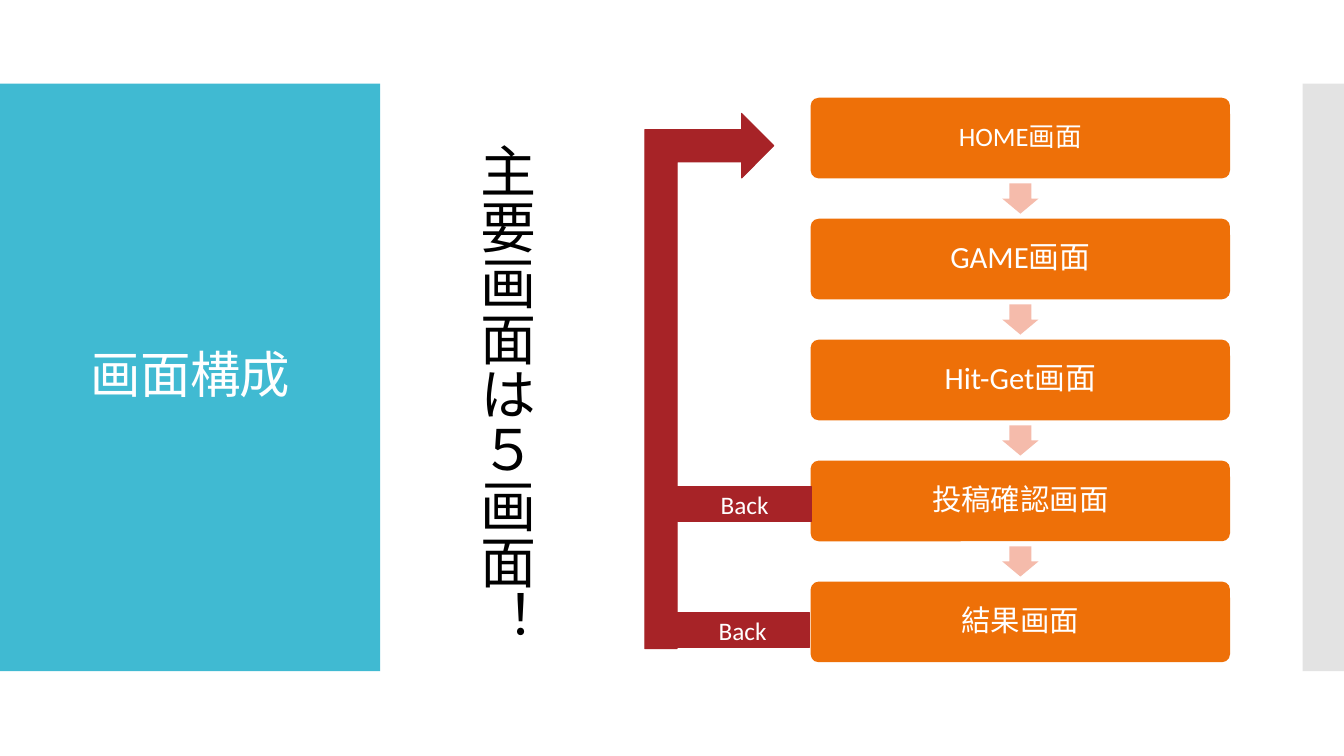
from dataclasses import dataclass

from lxml import etree
from pptx import Presentation
from pptx.dml.color import RGBColor
from pptx.enum.shapes import MSO_SHAPE as SHAPE
from pptx.enum.text import MSO_ANCHOR as ANCHOR, PP_ALIGN as ALIGN
from pptx.oxml.ns import qn
from pptx.util import Inches, Pt


@dataclass(frozen=True)
class Theme:
    """Colours, font and type sizes of the slide."""
    font: str = "Calibri"
    panel: str = "40BAD2"
    edge: str = "C8C8C8"
    step: str = "EE7008"
    down: str = "F5BBAB"
    back: str = "A72327"
    light: str = "FFFFFF"
    dark: str = "000000"
    title_size: int = 36
    message_size: int = 40
    back_size: int = 18


THEME = Theme()
STEPS = [("HOME画面", 19), ("GAME画面", 22), ("Hit-Get画面", 22),
         ("投稿確認画面", 21), ("結果画面", 21)]
STEP_TOP, STEP_PITCH = 0.97, 1.2


def add_block(page, kind, place, color, line=None):
    """Add a flat filled shape at (left, top, width, height) in inches."""
    block = page.shapes.add_shape(kind, *map(Inches, place))
    block.shadow.inherit = False
    block.fill.solid()
    block.fill.fore_color.rgb = RGBColor.from_string(color)
    if line:
        block.line.color.rgb = RGBColor.from_string(line)
        block.line.width = Pt(0.75)
    else:
        block.line.fill.background()
    return block


def write(box, text, size, color=THEME.light, align=ALIGN.CENTER, spacing=None):
    """Write one run into a box and return the run."""
    frame = box.text_frame
    frame.word_wrap = True
    para = frame.paragraphs[0]
    para.alignment = align
    para.line_spacing = spacing
    span = para.add_run()
    span.text = text
    span.font.name = THEME.font
    span.font.size = Pt(size)
    span.font.color.rgb = RGBColor.from_string(color)
    return span


def add_side_panels(page):
    """Add the title panel on the left and the pale strip on the right."""
    add_block(page, SHAPE.RECTANGLE, (0, 0.83, 3.77, 5.83), THEME.panel)
    strip = add_block(page, SHAPE.RECTANGLE, (12.92, 0.83, 0.42, 5.83), THEME.edge)
    tint = strip.fill._xPr.find(qn("a:solidFill"))[0]
    etree.SubElement(tint, qn("a:alpha")).set("val", "50000")


def add_title(page, text):
    """Add the title in the middle of the left panel."""
    box = page.shapes.add_textbox(*map(Inches, (0.28, 1.23, 3.22, 5.03)))
    box.text_frame.vertical_anchor = ANCHOR.MIDDLE
    span = write(box, text, THEME.title_size, spacing=0.9)
    span.font._element.set("spc", "-60")


def add_step(page, top, text, size):
    """Add one rounded screen box."""
    step = add_block(page, SHAPE.ROUNDED_RECTANGLE, (8.04, top, 4.16, 0.8), THEME.step)
    step.adjustments[0] = 0.1
    step.text_frame.vertical_anchor = ANCHOR.MIDDLE
    write(step, text, size, spacing=0.9)


def add_down_arrow(page, top):
    """Add the small arrow that leads to the next screen."""
    arrow = add_block(page, SHAPE.RIGHT_ARROW, (9.97, top, 0.3, 0.36), THEME.down)
    arrow.rotation = 90
    arrow.adjustments[0] = 0.6


def add_return_arrow(page):
    """Add the tall bent arrow that leads back to the first screen."""
    arrow = add_block(page, SHAPE.BENT_UP_ARROW, (4.38, 3.14, 5.31, 1.28),
                      THEME.back, THEME.back)
    arrow.rotation = 270
    arrow._element.spPr.find(qn("a:xfrm")).set("flipV", "1")


def add_back_bar(page, left, top):
    """Add a labelled bar that joins a screen to the return arrow."""
    bar = add_block(page, SHAPE.RECTANGLE, (left, top, 1.33, 0.34),
                    THEME.back, THEME.back)
    bar.text_frame.vertical_anchor = ANCHOR.MIDDLE
    write(bar, "Back", THEME.back_size)


def add_vertical_message(page, text):
    """Add the message set in vertical writing."""
    box = page.shapes.add_textbox(*map(Inches, (4.53, 1.32, 0.88, 5.47)))
    write(box, text, THEME.message_size, THEME.dark, ALIGN.LEFT)
    box.text_frame._txBody.bodyPr.set("vert", "eaVert")


def main():
    """Build the screen flow slide."""
    deck = Presentation()
    deck.slide_width, deck.slide_height = Inches(13.33), Inches(7.5)
    page = deck.slides.add_slide(deck.slide_layouts[6])
    add_side_panels(page)
    add_title(page, "画面構成")
    for index, (text, size) in enumerate(STEPS):
        top = STEP_TOP + index * STEP_PITCH
        add_step(page, top, text, size)
        if index < len(STEPS) - 1:
            add_down_arrow(page, top + 0.82)
    add_return_arrow(page)
    for left, top in ((6.72, 4.83), (6.7, 6.08)):
        add_back_bar(page, left, top)
    add_vertical_message(page, "主要画面は５画面！")
    deck.save("out.pptx")


main()
